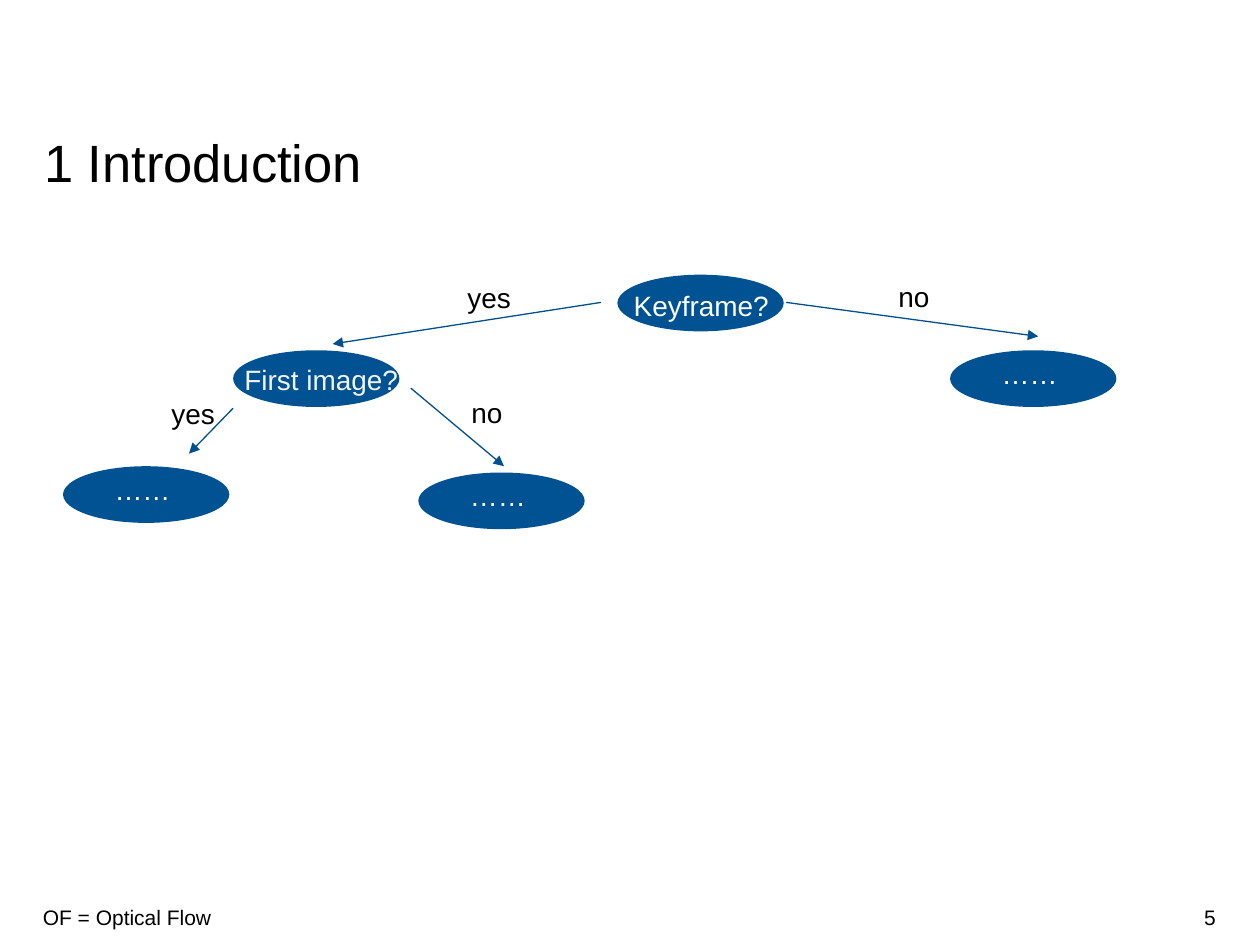
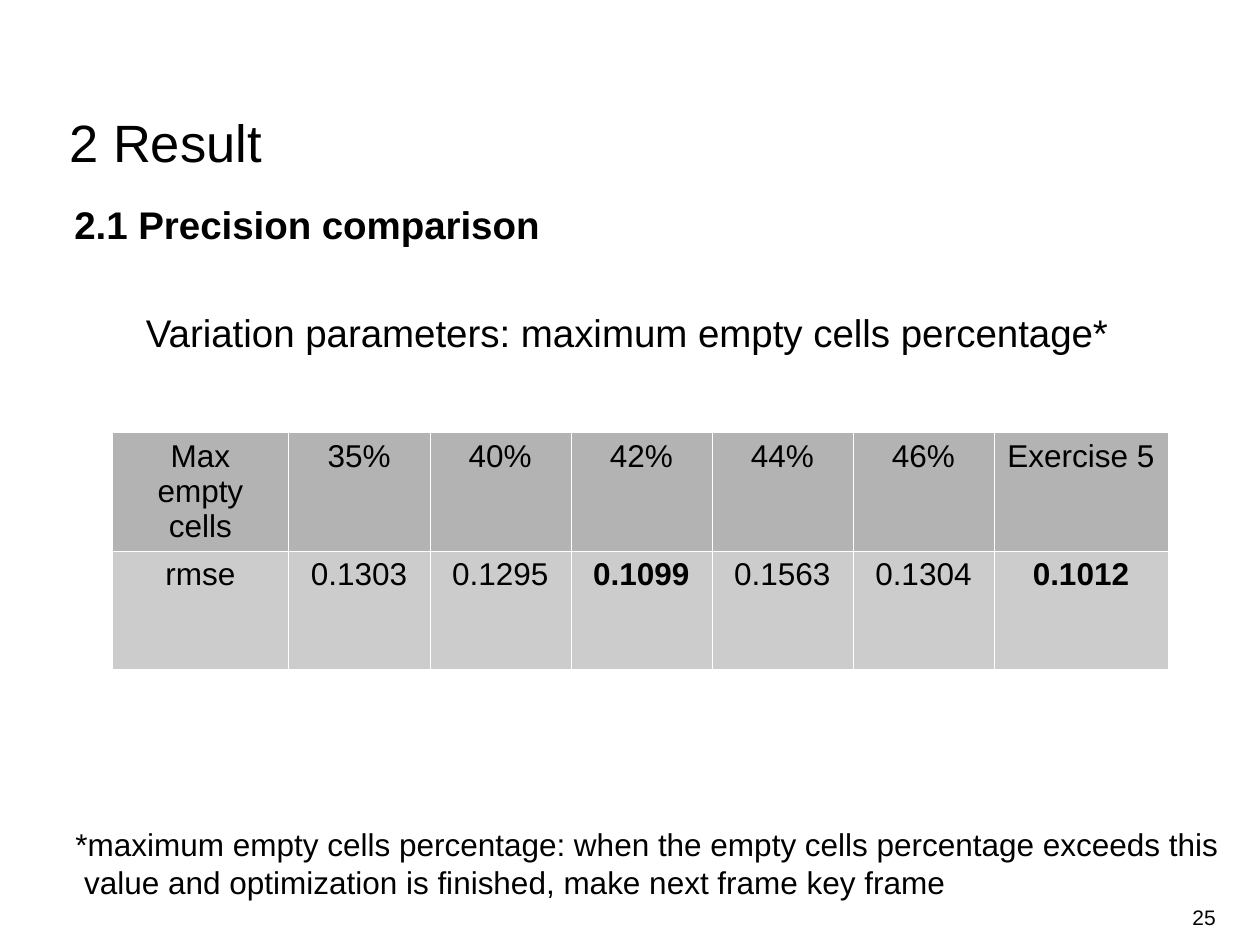
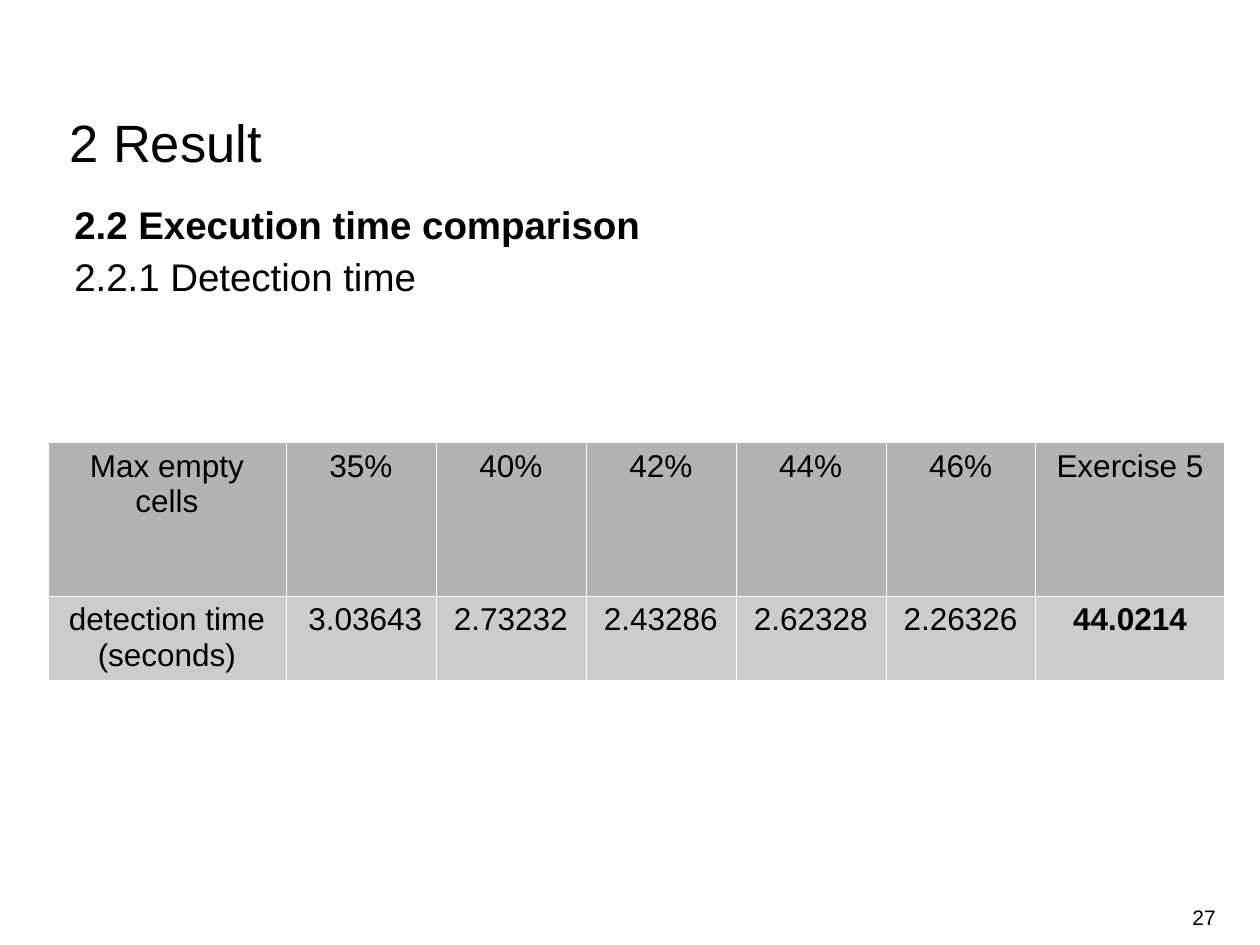
from dataclasses import dataclass

from lxml.etree import SubElement
from pptx import Presentation
from pptx.dml.color import RGBColor
from pptx.enum.shapes import MSO_CONNECTOR, MSO_SHAPE
from pptx.enum.text import MSO_ANCHOR, MSO_AUTO_SIZE, PP_ALIGN
from pptx.oxml.ns import qn
from pptx.util import Inches, Pt


@dataclass(frozen=True)
class Theme:
    font: str = "Arial"
    black: str = "000000"
    white: str = "FFFFFF"
    soft_white: str = "F2F2F2"
    node: str = "005293"
    arrow: str = "00508F"
    header_row: str = "B3B3B3"
    value_row: str = "CCCCCC"
    title: int = 30
    body: int = 22
    table: int = 18
    label: int = 16
    footer: int = 12


theme = Theme()
deck = Presentation()
deck.slide_width, deck.slide_height = Inches(10), Inches(7.5)
column = deck.slide_width // 100
row = deck.slide_height // 75


def area(left, top, width, height):
    return [round(size) for size in (left * column, top * row, width * column, height * row)]


def write(frame, text, size, color=theme.black, bold=False, align=PP_ALIGN.LEFT,
          spacing=1.0, inset=None, wrap=True, anchor=MSO_ANCHOR.TOP):
    frame.text = text
    if inset is not None:
        frame.margin_left = frame.margin_right = Inches(inset[0])
        frame.margin_top = frame.margin_bottom = Inches(inset[1])
        frame.auto_size = MSO_AUTO_SIZE.NONE
        frame.word_wrap = wrap
        frame.vertical_anchor = anchor
    for para in frame.paragraphs:
        para.alignment = align
        para.line_spacing = spacing
        para.space_before = para.space_after = Pt(0)
        for span in para.runs:
            span.font.name = theme.font
            span.font.size = Pt(size)
            span.font.bold = bold
            span.font.color.rgb = RGBColor.from_string(color)


title_only, title_and_body = deck.slide_layouts[5], deck.slide_layouts[1]
result_title = (5.5, 9.3, 68.5, 4.5)
page_plan = [
    (title_only, "1 Introduction", (3.5, 10.9, 93.1, 4.5), None, "5"),
    (title_and_body, "2 Result", result_title, "2.1 Precision comparison", "25"),
    (title_and_body, "2 Result", result_title,
     "2.2 Execution time comparison\n2.2.1 Detection time", "27"),
]
pages = []
for layout, title, title_area, body_text, number in page_plan:
    page = deck.slides.add_slide(layout)
    pages.append(page)
    heading = page.shapes.title
    heading.left, heading.top, heading.width, heading.height = area(*title_area)
    write(heading.text_frame, title, theme.title, spacing=Pt(32), inset=(0, 0))
    if body_text:
        body = page.placeholders[1]
        body.left, body.top, body.width, body.height = area(5.9, 15.4, 88.5, 48.7)
        write(body.text_frame, body_text, theme.body, spacing=1.14, inset=(0, 0))
        for para in body.text_frame.paragraphs:
            properties = para._p.get_or_add_pPr()
            properties.set("marL", "0")
            properties.set("indent", "0")
            SubElement(properties, qn("a:buNone"))
        body.text_frame.paragraphs[0].runs[0].font.bold = True
    box = page.shapes.add_textbox(*area(74.1, 70.8, 22.4, 4))
    write(box.text_frame, number, theme.footer, align=PP_ALIGN.RIGHT,
          inset=(0, 0.05), anchor=MSO_ANCHOR.MIDDLE)

introduction, precision, execution = pages

box = introduction.shapes.add_textbox(*area(3.4, 70.8, 70.7, 4))
write(box.text_frame, "OF = Optical Flow", theme.footer,
      inset=(0, 0.05), anchor=MSO_ANCHOR.MIDDLE)

dots = ("……", theme.white, 4.1, 0.1, 4.4)
nodes = [
    (49, 21.8, "Keyframe?", theme.white, 1.3, 0.7, 10.7),
    (18.5, 27.8, "First image?", theme.soft_white, 0.9, 0.6, 12.2),
    (75.4, 27.8, *dots),
    (33.2, 37.5, *dots),
    (5, 37, *dots),
]
for left, top, text, color, shift_x, shift_y, width in nodes:
    ellipse = introduction.shapes.add_shape(MSO_SHAPE.OVAL, *area(left, top, 13.2, 4.5))
    ellipse.shadow.inherit = False
    ellipse.fill.solid()
    ellipse.fill.fore_color.rgb = RGBColor.from_string(theme.node)
    ellipse.line.fill.background()
    box = introduction.shapes.add_textbox(*area(left + shift_x, top + shift_y, width, 3))
    write(box.text_frame, text, theme.label, color, spacing=1.14, inset=(0, 0), wrap=False)

branches = [
    ((47.7, 24, 26.4, 27.3), "yes", (37.1, 21.9, 3.5, 3)),
    ((62.4, 24, 82.4, 26.7), "no", (71.3, 21.8, 2.5, 3)),
    ((18.5, 32.4, 15, 36), "yes", (13.6, 31.1, 3.5, 3)),
    ((32.6, 30.8, 40, 37), "no", (37.4, 31, 2.5, 3)),
]
for ends, answer, answer_area in branches:
    arrow = introduction.shapes.add_connector(MSO_CONNECTOR.STRAIGHT, *area(*ends))
    arrow.line.color.rgb = RGBColor.from_string(theme.arrow)
    arrow.line.width = Pt(0.75)
    SubElement(arrow.line._get_or_add_ln(), qn("a:tailEnd"), type="triangle")
    SubElement(arrow._element.spPr, qn("a:effectLst"))
    box = introduction.shapes.add_textbox(*area(*answer_area))
    write(box.text_frame, answer, theme.label, spacing=1.14, inset=(0, 0), wrap=False)

header = ["Max empty cells", "35%", "40%", "42%", "44%", "46%", "Exercise 5"]
tables = [
    (precision, 8.9, 34.3, [14, *[11.2] * 5, 13.8], [9.4, 9.4],
     ["rmse", "0.1303", "0.1295", "0.1099", "0.1563", "0.1304", "0.1012"], {3, 6}),
    (execution, 3.8, 35.1, [18.9, *[11.9] * 5, 15], [12.2, 6.7],
     ["detection time\n(seconds)", " 3.03643", "2.73232", "2.43286", "2.62328", "2.26326",
      "44.0214"], {6}),
]
for page, left, top, widths, heights, values, bold_columns in tables:
    table = page.shapes.add_table(
        2, len(header), *area(left, top, sum(widths), sum(heights))).table
    table.first_row = table.horz_banding = False
    for table_column, width in zip(table.columns, widths):
        table_column.width = round(width * column)
    for table_row, height in zip(table.rows, heights):
        table_row.height = round(height * row)
    for row_index, (texts, fill) in enumerate(
            [(header, theme.header_row), (values, theme.value_row)]):
        for column_index, text in enumerate(texts):
            cell = table.cell(row_index, column_index)
            bold = row_index == 1 and column_index in bold_columns
            write(cell.text_frame, text, theme.table, bold=bold, align=PP_ALIGN.CENTER)
            properties = cell._tc.get_or_add_tcPr()
            for side in ("a:lnL", "a:lnR", "a:lnT", "a:lnB"):
                border = SubElement(properties, qn(side), w=str(Pt(0.06)))
                SubElement(SubElement(border, qn("a:solidFill")), qn("a:srgbClr"),
                           val=theme.white)
            cell.fill.solid()
            cell.fill.fore_color.rgb = RGBColor.from_string(fill)

box = precision.shapes.add_textbox(*area(10.6, 24, 78.6, 7.8))
write(box.text_frame, "Variation parameters: maximum empty cells percentage*",
      theme.body, inset=(0.1, 0.05))
box = precision.shapes.add_textbox(*area(5, 65, 92.7, 6.6))
write(box.text_frame,
      "*maximum empty cells percentage: when the empty cells percentage exceeds this\n"
      " value and optimization is finished, make next frame key frame",
      theme.table, inset=(0.1, 0.05), wrap=False)

deck.save("out.pptx")
